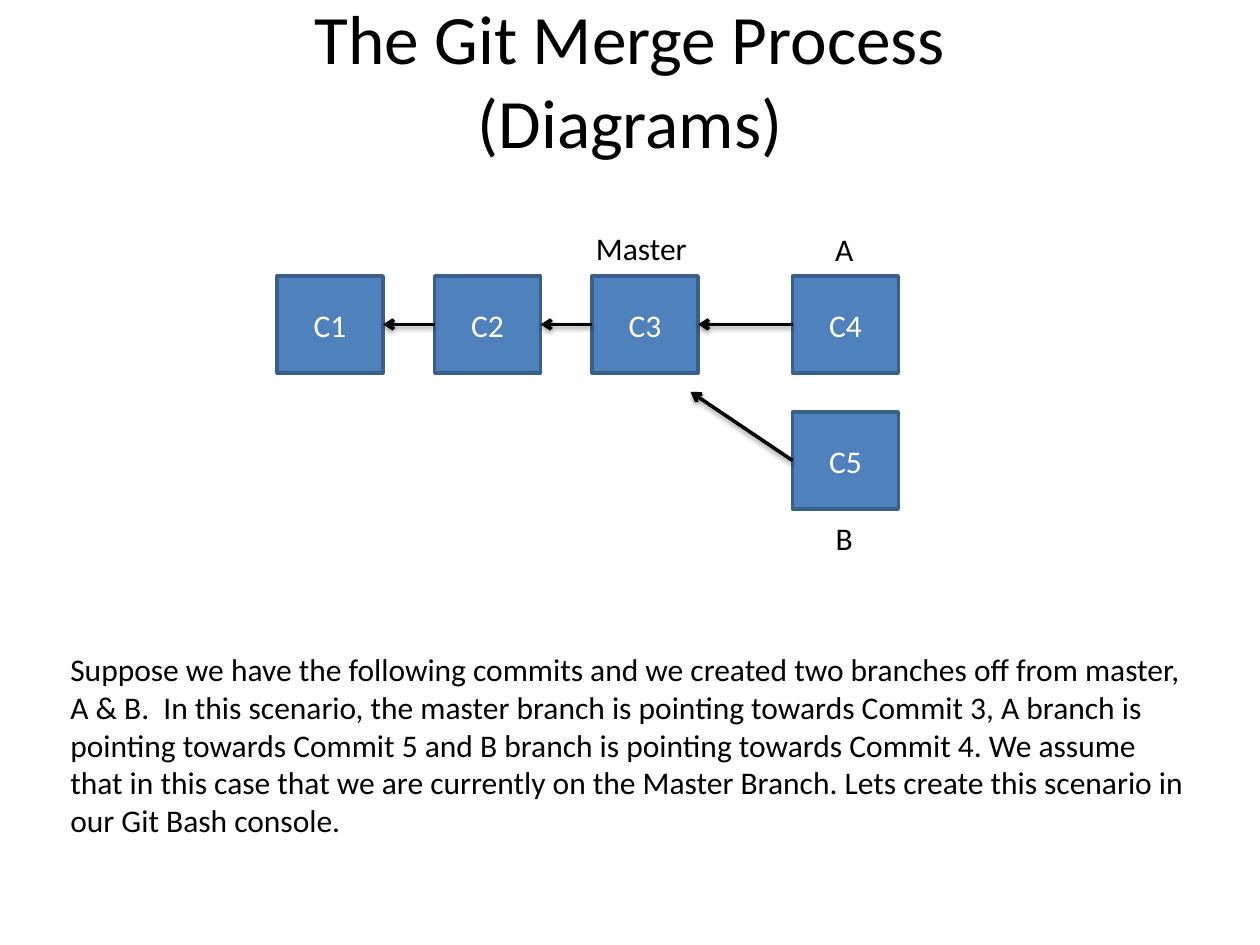
from lxml import etree
from pptx import Presentation
from pptx.dml.color import RGBColor as RGB
from pptx.enum.shapes import MSO_CONNECTOR as CONN, MSO_SHAPE as SHAPE
from pptx.enum.text import MSO_ANCHOR as ANCHOR, PP_ALIGN as ALIGN
from pptx.oxml import parse_xml
from pptx.oxml.ns import qn
from pptx.util import Inches, Pt

COLORS = {"text": "000000", "box": "4F81BD", "edge": "3A5F8C", "label": "FFFFFF"}
FONT = "Calibri"
NS = "http://schemas.openxmlformats.org/drawingml/2006/main"

# Commit grid, in inches
COLS = [2.2, 3.45, 4.7, 6.29]
ROWS = [2.19, 3.27]
BOX_W, BOX_H = 0.84, 0.77

COMMITS = [("C1", 0, 0), ("C2", 1, 0), ("C3", 2, 0), ("C4", 3, 0), ("C5", 3, 1)]
BODY = (
    "Suppose we have the following commits and we created two branches off from "
    "master, A & B.  In this scenario, the master branch is pointing towards "
    "Commit 3, A branch is pointing towards Commit 5 and B branch is pointing "
    "towards Commit 4. We assume that in this case that we are currently on the "
    "Master Branch. Lets create this scenario in our Git Bash console."
)


def color(name):
    return RGB.from_string(COLORS[name])


def write(sp, text, size=18, fill="text", align=ALIGN.LEFT, anchor=ANCHOR.TOP):
    tf = sp.text_frame
    tf.word_wrap = True
    tf.vertical_anchor = anchor
    p = tf.paragraphs[0]
    p.text = text
    p.alignment = align
    for r in p.runs:
        r.font.name, r.font.size = FONT, Pt(size)
        r.font.color.rgb = color(fill)


def text_box(s, text, x, y, w, h, **fmt):
    sp = s.shapes.add_textbox(Inches(x), Inches(y), Inches(w), Inches(h))
    write(sp, text, **fmt)


def commit(s, name, col, row):
    sp = s.shapes.add_shape(SHAPE.RECTANGLE, Inches(COLS[col]), Inches(ROWS[row]),
                            Inches(BOX_W), Inches(BOX_H))
    sp.shadow.inherit = False
    sp.fill.solid()
    sp.fill.fore_color.rgb = color("box")
    sp.line.color.rgb = color("edge")
    sp.line.width = Pt(2)
    write(sp, name, fill="label", align=ALIGN.CENTER, anchor=ANCHOR.MIDDLE)


def arrow(s, x1, y1, x2, y2):
    ln = s.shapes.add_connector(CONN.STRAIGHT, *map(Inches, (x1, y1, x2, y2)))
    ln.line.color.rgb = color("text")
    ln.line.width = Pt(2)
    # Arrowhead and soft shadow below the line
    sp_pr = ln._element.spPr
    etree.SubElement(sp_pr.find(qn("a:ln")), qn("a:tailEnd"), type="arrow")
    sp_pr.append(parse_xml(
        f'<a:effectLst xmlns:a="{NS}"><a:outerShdw blurRad="{Pt(3.1)}" '
        f'dist="{Pt(1.6)}" dir="5400000" rotWithShape="0">'
        f'<a:srgbClr val="{COLORS["text"]}"><a:alpha val="38000"/></a:srgbClr>'
        '</a:outerShdw></a:effectLst>'))


def main():
    prs = Presentation()
    prs.slide_width, prs.slide_height = Inches(10), Inches(7.5)
    s = prs.slides.add_slide(prs.slide_layouts[6])

    # Title
    text_box(s, "The Git Merge Process\v(Diagrams)", 0.5, 0, 9, 1.25,
             size=39.6, align=ALIGN.CENTER, anchor=ANCHOR.MIDDLE)

    # Commits
    for name, col, row in COMMITS:
        commit(s, name, col, row)

    # Each commit points to its parent
    mid = [top + BOX_H / 2 for top in ROWS]
    for parent, child in zip(COLS, COLS[1:]):
        arrow(s, child, mid[0], parent + BOX_W, mid[0])
    arrow(s, COLS[3], mid[1], 5.48, 3.11)

    # Branch names
    text_box(s, "Master", 4.57, 1.77, 1.04, 0.4, align=ALIGN.CENTER)
    text_box(s, "A", 6.53, 1.78, 0.5, 0.4)
    text_box(s, "B", 6.45, 4.07, 0.5, 0.4, align=ALIGN.CENTER)

    # Explanation
    text_box(s, BODY, 0.46, 5.11, 9.04, 1.62)

    prs.save("out.pptx")


main()
